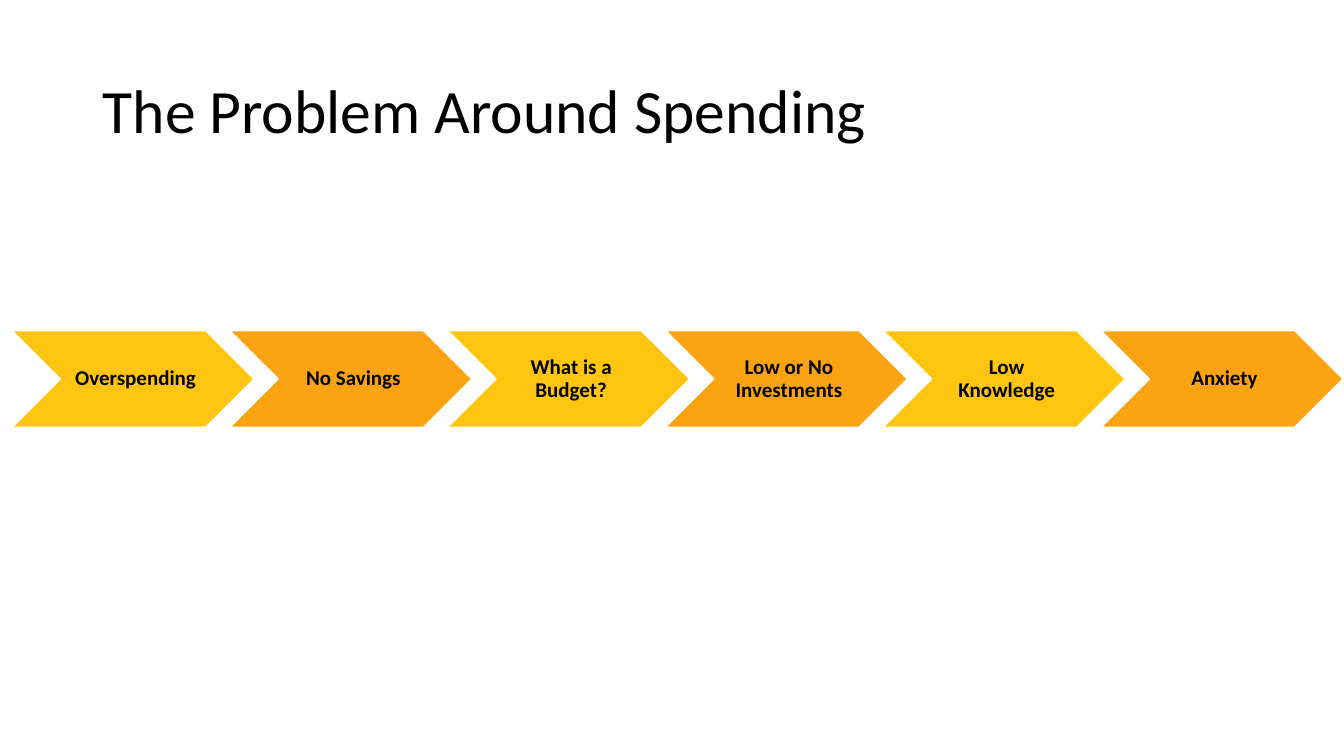
from dataclasses import dataclass

import pptx
import pptx.dml.color
import pptx.enum.shapes
import pptx.enum.text
import pptx.util
from pptx.util import Inches


@dataclass(frozen=True)
class Theme:
    font: str = "Calibri"
    text: str = "000000"
    outline: str = "FFFFFF"
    steps: tuple = ("FFC511", "FCA311")
    title_size: int = 44
    step_size: int = 15


theme = Theme()
rgb = pptx.dml.color.RGBColor.from_string
Align = pptx.enum.text.PP_ALIGN


def write(shape, text, size, align=Align.LEFT, bold=False, insets=(0.1, 0.05, 0.1, 0.05)):
    """Fill a shape with one vertically centred paragraph; insets are left, top, right, bottom."""
    frame = shape.text_frame
    frame.text = text
    frame.word_wrap = True
    frame.auto_size = pptx.enum.text.MSO_AUTO_SIZE.NONE
    frame.vertical_anchor = pptx.enum.text.MSO_ANCHOR.MIDDLE
    frame.margin_left, frame.margin_top, frame.margin_right, frame.margin_bottom = map(Inches, insets)
    para = frame.paragraphs[0]
    para.alignment = align
    para.line_spacing = 0.9
    span = para.runs[0]
    span.font.name = theme.font
    span.font.size = pptx.util.Pt(size)
    span.font.bold = bold
    span.font.color.rgb = rgb(theme.text)


deck = pptx.Presentation()
deck.slide_width, deck.slide_height = Inches(13.33), Inches(7.5)
page = deck.slides.add_slide(deck.slide_layouts[5])

title = page.shapes.title
title.left, title.top, title.width, title.height = map(Inches, (0.92, 0.4, 11.5, 1.45))
write(title, "The Problem Around Spending", theme.title_size)

steps = ["Overspending", "No Savings", "What is a Budget?",
         "Low or No Investments", "Low Knowledge", "Anxiety"]
first_left, step_top, step_width, step_height = 0.12, 3.28, 2.4, 0.96
step_pitch = step_width * 0.9

for index, step in enumerate(steps):
    chevron = page.shapes.add_shape(
        pptx.enum.shapes.MSO_SHAPE.CHEVRON,
        Inches(first_left + index * step_pitch), Inches(step_top),
        Inches(step_width), Inches(step_height))
    chevron.shadow.inherit = False
    chevron.fill.solid()
    chevron.fill.fore_color.rgb = rgb(theme.steps[index % 2])
    chevron.line.color.rgb = rgb(theme.outline)
    chevron.line.width = pptx.util.Pt(1)
    write(chevron, step, theme.step_size, align=Align.CENTER, bold=True,
          insets=(0.07, 0.02, 0.02, 0.02))

deck.save("out.pptx")
